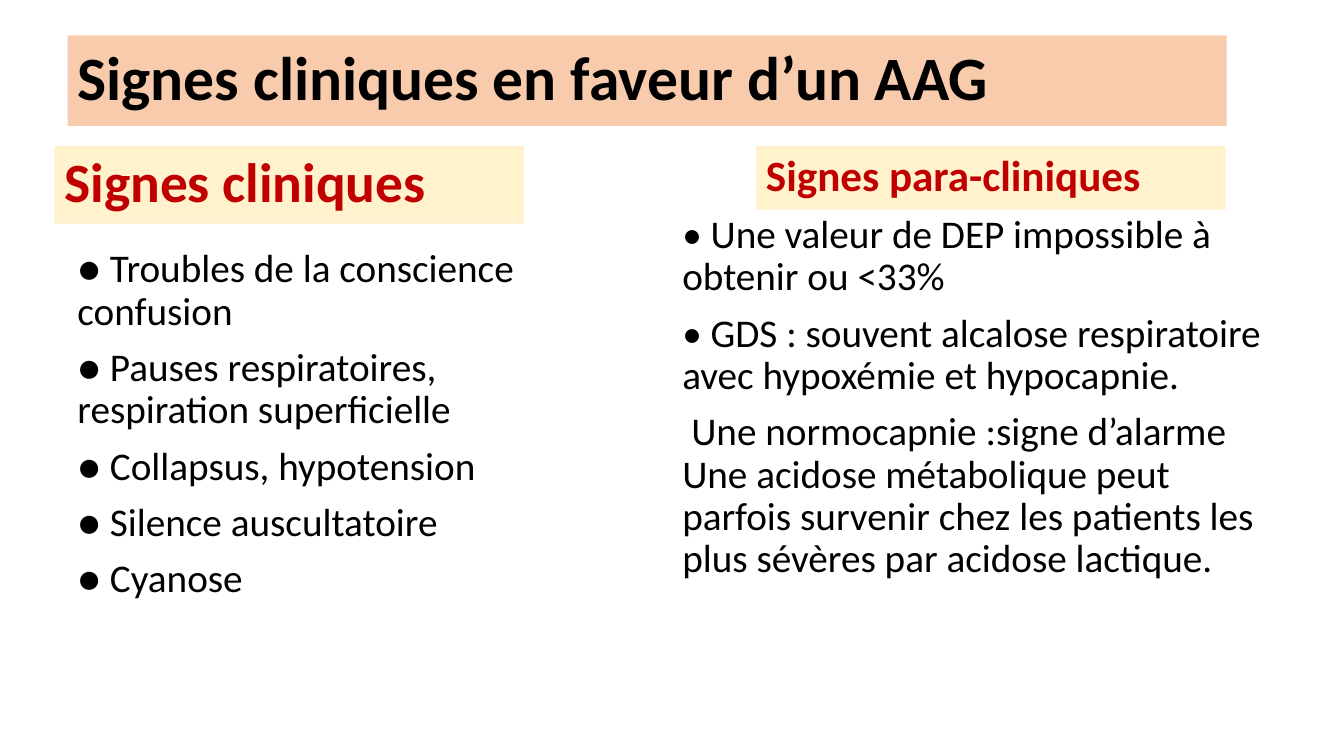
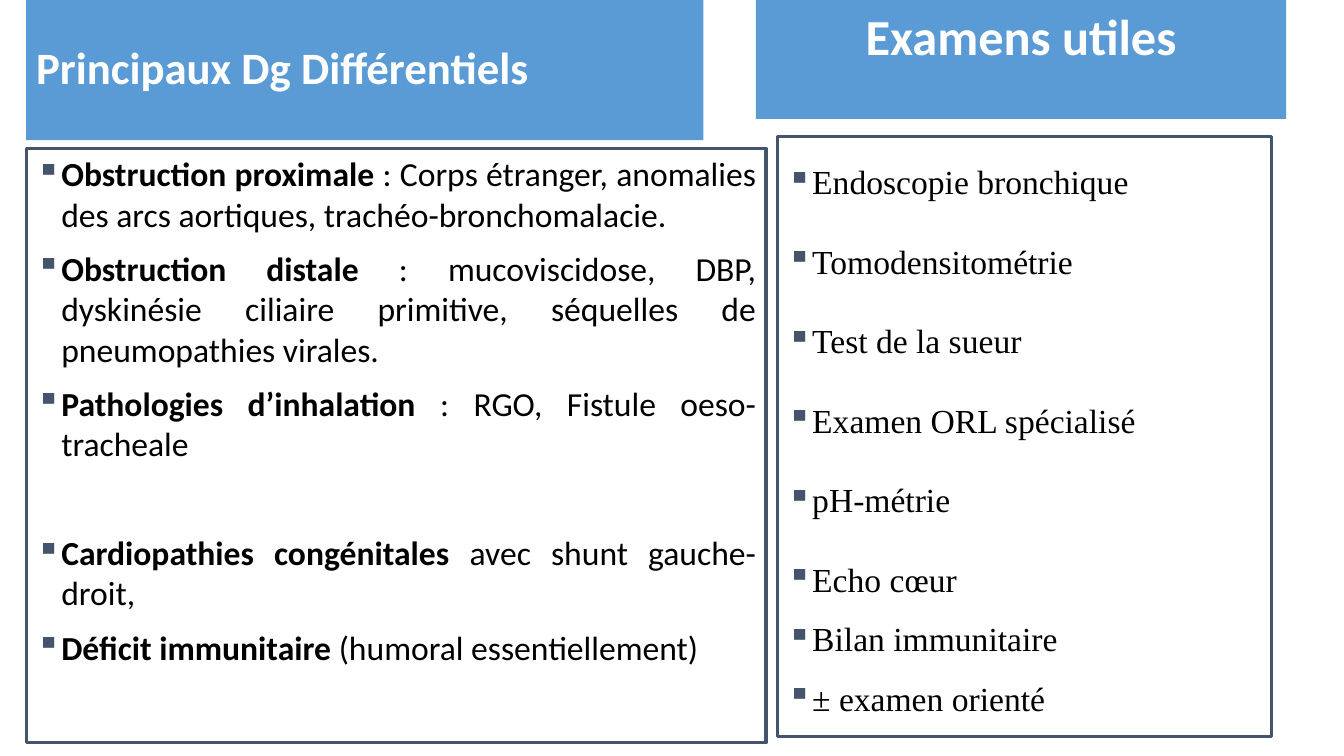
from dataclasses import dataclass

from lxml import etree
from pptx import Presentation
from pptx.dml.color import RGBColor
from pptx.enum import shapes, text
from pptx.oxml import ns
from pptx.slide import Slide
from pptx.util import Emu, Inches, Pt


# Theme: every colour, font and type size
@dataclass(frozen=True)
class Theme:
    sans: str = "Calibri"
    serif: str = "Times New Roman"
    black: str = "000000"
    white: str = "FFFFFF"
    red: str = "C00000"
    peach: str = "F8CBAD"
    cream: str = "FFF2CC"
    blue: str = "5B9BD5"
    slate: str = "44546A"
    title: float = 44
    heading: float = 39.6
    subheading: float = 30.8
    banner: float = 32
    exams: float = 36
    body: float = 28
    items: float = 24
    outline: float = 2.25


THEME = Theme()
WIDTH, HEIGHT = Inches(13.333), Inches(7.5)
COLUMNS = ROWS = 100  # the page grid
TIGHT = 0.9
LEFT, CENTER, JUSTIFY = (text.PP_ALIGN.LEFT, text.PP_ALIGN.CENTER,
                         text.PP_ALIGN.JUSTIFY)
TOP, MIDDLE = text.MSO_ANCHOR.TOP, text.MSO_ANCHOR.MIDDLE


@dataclass(frozen=True)
class Area:
    """A rectangle in columns and rows of the grid."""
    column: float
    row: float
    columns: float
    rows: float

    def lengths(self) -> tuple[Emu, Emu, Emu, Emu]:
        across, down = WIDTH / COLUMNS, HEIGHT / ROWS
        return (Emu(round(self.column * across)), Emu(round(self.row * down)),
                Emu(round(self.columns * across)), Emu(round(self.rows * down)))


@dataclass(frozen=True)
class Style:
    size: float
    color: str = THEME.black
    font: str = THEME.sans
    bold: bool = False
    align: text.PP_ALIGN = LEFT
    spacing: float = 1.0
    before: float = 0
    bullet: str = ""


@dataclass(frozen=True)
class Para:
    plain: str
    strong: str = ""
    margin: float = 0
    indent: float = 0
    before: float | None = None
    spacing: float | None = None


@dataclass(frozen=True)
class Panel:
    area: Area
    style: Style
    paras: tuple[Para, ...]
    fill: str = ""
    line: str = ""
    anchor: text.MSO_ANCHOR = TOP


# Text styles
def heading(size: float, color: str) -> Style:
    return Style(size, color, bold=True, spacing=TIGHT)


BODY = Style(THEME.body, spacing=TIGHT, before=10)
DIAGNOSES = Style(THEME.items, align=JUSTIFY, before=10, bullet="▪")
EXAMS = Style(THEME.items, font=THEME.serif, spacing=1.5, before=13.6, bullet="▪")
EXAMS_TITLE = Style(THEME.exams, THEME.white, bold=True, align=CENTER)


def diagnosis(strong: str, plain: str, before: float | None = None) -> Para:
    return Para(plain, strong, margin=0.25, indent=-0.25, before=before)


# Drawing
def add_bullet(para, mark: str) -> None:
    properties = para._p.get_or_add_pPr()
    color = etree.SubElement(properties, ns.qn("a:buClr"))
    etree.SubElement(color, ns.qn("a:srgbClr"), val=THEME.slate)
    etree.SubElement(properties, ns.qn("a:buChar"), char=mark)


def write_para(para, content: Para, style: Style, first: bool) -> None:
    before = style.before if content.before is None else content.before
    para.alignment = style.align
    para.line_spacing = content.spacing or style.spacing
    para.space_before = Pt(0 if first else before)
    properties = para._p.get_or_add_pPr()
    properties.set("marL", str(Inches(content.margin)))
    properties.set("indent", str(Inches(content.indent)))
    if style.bullet:
        add_bullet(para, style.bullet)
    for words, bold in ((content.strong, True), (content.plain, style.bold)):
        if words:
            span = para.add_run()
            span.text = words
            span.font.name = style.font
            span.font.size = Pt(style.size)
            span.font.bold = bold
            span.font.color.rgb = RGBColor.from_string(style.color)


def draw_panel(page: Slide, panel: Panel) -> None:
    lengths = panel.area.lengths()
    if panel.fill or panel.line:
        box = page.shapes.add_shape(shapes.MSO_SHAPE.RECTANGLE, *lengths)
        box.shadow.inherit = False
    else:
        box = page.shapes.add_textbox(*lengths)
    if panel.fill:
        box.fill.solid()
        box.fill.fore_color.rgb = RGBColor.from_string(panel.fill)
    else:
        box.fill.background()
    if panel.line:
        box.line.color.rgb = RGBColor.from_string(panel.line)
        box.line.width = Pt(THEME.outline)
    else:
        box.line.fill.background()
    frame = box.text_frame
    frame.word_wrap = True
    frame.vertical_anchor = panel.anchor
    for index, content in enumerate(panel.paras):
        para = frame.add_paragraph() if index else frame.paragraphs[0]
        write_para(para, content, panel.style, first=index == 0)


# Slide 1: signs of a severe attack
SIGNS = (
    Panel(Area(4.05, 19.33, 34.95, 10.27), heading(THEME.heading, THEME.red),
          (Para("Signes cliniques"),), fill=THEME.cream, anchor=MIDDLE),
    Panel(Area(5.03, 32.27, 34.95, 63.47), BODY, (
        Para("● Troubles de la conscience confusion"),
        Para("● Pauses respiratoires, respiration superficielle"),
        Para("● Collapsus, hypotension"),
        Para("● Silence auscultatoire"),
        Para("● Cyanose"),
    )),
    Panel(Area(56.25, 19.33, 34.95, 8.4), heading(THEME.subheading, THEME.red),
          (Para("Signes para-cliniques"),), fill=THEME.cream, anchor=MIDDLE),
    Panel(Area(5.03, 4.67, 86.25, 12), heading(THEME.title, THEME.black),
          (Para("Signes cliniques en faveur d’un AAG"),),
          fill=THEME.peach, anchor=MIDDLE),
    Panel(Area(50.03, 27.73, 45.38, 65.33), BODY, (
        Para("• Une valeur de DEP impossible à obtenir ou <33%"),
        Para("• GDS : souvent alcalose respiratoire avec hypoxémie et hypocapnie."),
        Para("Une normocapnie :signe d’alarme Une acidose métabolique peut "
             "parfois survenir chez les patients les plus sévères par acidose "
             "lactique.", indent=0.09),
    )),
)

# Slide 2: differential diagnoses and useful tests
SPACED_EXAMS = ("Endoscopie bronchique", "Tomodensitométrie", "Test de la sueur",
                "Examen ORL spécialisé", "pH-métrie", "Echo cœur")
CLOSE_EXAMS = ("Bilan immunitaire", "± examen orienté")
DIFFERENTIALS = (
    Panel(Area(1.95, 0, 50.4, 18.53), heading(THEME.banner, THEME.white),
          (Para("Principaux Dg Différentiels"),), fill=THEME.blue, anchor=MIDDLE),
    Panel(Area(1.95, 19.6, 55.05, 78.67), DIAGNOSES, (
        diagnosis("Obstruction proximale", " : Corps étranger, anomalies des "
                  "arcs aortiques, trachéo-bronchomalacie."),
        diagnosis("Obstruction distale", " : mucoviscidose, DBP, dyskinésie "
                  "ciliaire primitive, séquelles de pneumopathies virales."),
        diagnosis("Pathologies d’inhalation", " : RGO, Fistule oeso-tracheale"),
        diagnosis("Cardiopathies congénitales", " avec shunt gauche-droit,",
                  before=49),
        diagnosis("Déficit immunitaire", " (humoral essentiellement)"),
    ), line=THEME.slate),
    Panel(Area(56.25, 0, 39.45, 15.73), EXAMS_TITLE,
          (Para("Examens utiles"),), fill=THEME.blue),
    Panel(Area(57.83, 18, 36.75, 79.47), EXAMS,
          tuple(Para(exam, margin=0.19, indent=-0.19) for exam in SPACED_EXAMS)
          + tuple(Para(exam, spacing=1.0) for exam in CLOSE_EXAMS),
          line=THEME.slate),
)


def main() -> None:
    deck = Presentation()
    deck.slide_width, deck.slide_height = WIDTH, HEIGHT
    for panels in (SIGNS, DIFFERENTIALS):
        page = deck.slides.add_slide(deck.slide_layouts[6])
        for panel in panels:
            draw_panel(page, panel)
    deck.save("out.pptx")


if __name__ == "__main__":
    main()
